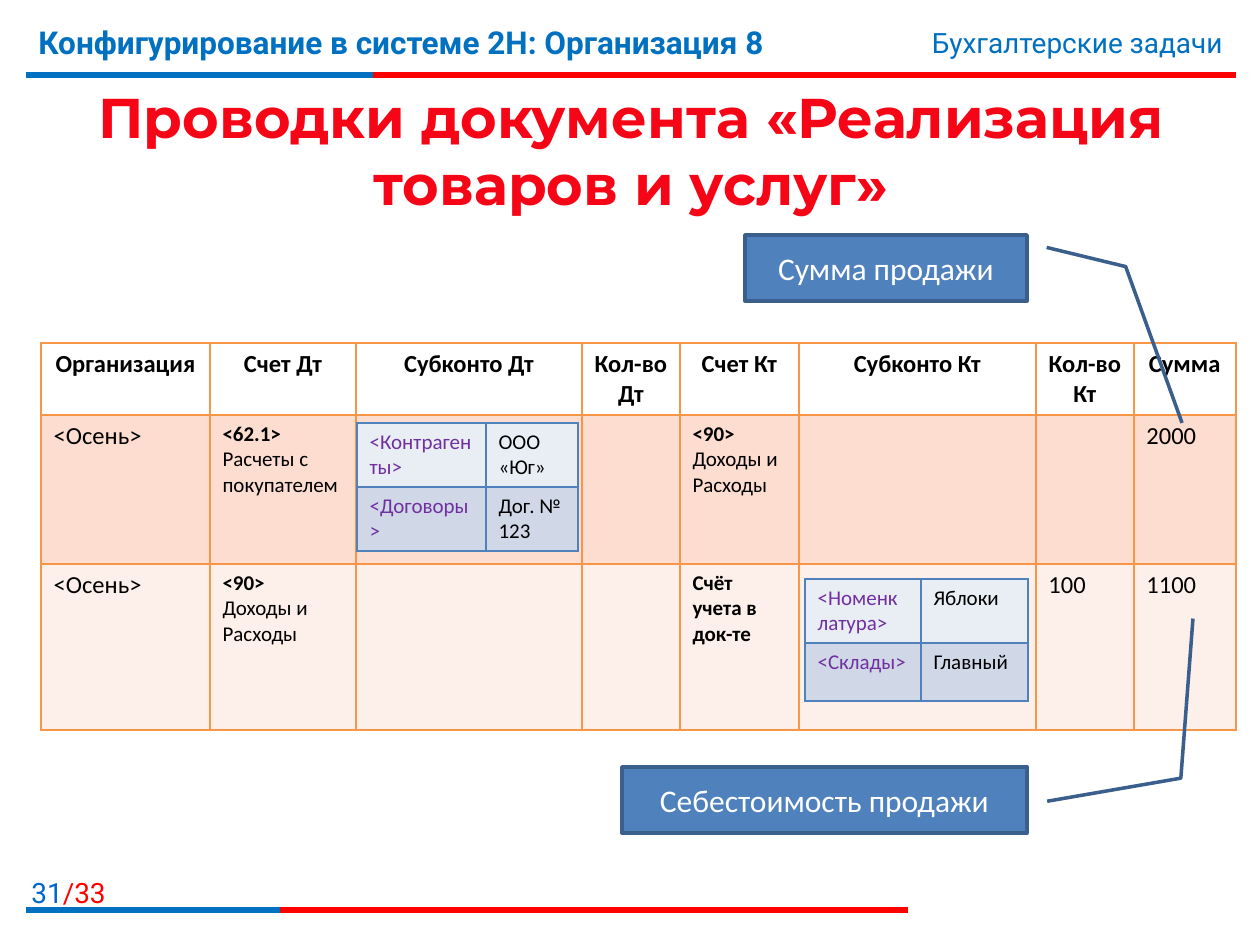
import pptx
import pptx.util
from lxml import etree
from pptx.dml.color import RGBColor
from pptx.enum.shapes import MSO_CONNECTOR, MSO_SHAPE
from pptx.enum.text import MSO_ANCHOR, PP_ALIGN
from pptx.oxml.ns import qn

COLORS = {
    "blue": "0070C0", "red": "FF0000", "page": "0066CC", "title": "F50516",
    "black": "000000", "white": "FFFFFF", "purple": "7030A0",
    "orange": "F79646", "peach": "FCDDCF", "cream": "FDEFE9",
    "steel": "4F81BD", "navy": "3A5F8C", "mist": "E9EDF4", "haze": "D0D8E8",
}
PX_PER_INCH = 126
LEFT, CENTER, RIGHT = PP_ALIGN.LEFT, PP_ALIGN.CENTER, PP_ALIGN.RIGHT


def px(length):
    return pptx.util.Emu(round(length * 914400 / PX_PER_INCH))


def rgb(name):
    return RGBColor.from_string(COLORS[name])


class PostingSlide:
    def __init__(self, deck):
        self.slide = deck.slides.add_slide(deck.slide_layouts[6])
        self.shapes = self.slide.shapes

    def add_runs(self, frame, runs, align=LEFT):
        """Fill a frame with (text, size, color, bold, font) runs; a run "\\n" breaks the line."""
        paragraph = frame.paragraphs[0]
        paragraph.alignment = align
        for run_style in runs:
            if run_style == "\n":
                paragraph.add_line_break()
                continue
            text, size, color, bold, font = run_style
            run = paragraph.add_run()
            run.text = text
            run.font.size = pptx.util.Pt(size)
            run.font.bold = bold
            run.font.name = font
            run.font.color.rgb = rgb(color)

    def text(self, box, runs, align=LEFT, anchor=MSO_ANCHOR.TOP):
        frame = self.shapes.add_textbox(*map(px, box)).text_frame
        frame.word_wrap = True
        frame.vertical_anchor = anchor
        self.add_runs(frame, runs, align)

    def rule(self, left, right, y, color):
        line = self.shapes.add_connector(
            MSO_CONNECTOR.STRAIGHT, px(left), px(y), px(right), px(y))
        line.line.color.rgb = rgb(color)
        line.line.width = pptx.util.Pt(3)
        etree.SubElement(line._element.spPr, qn("a:effectLst"))

    def two_tone_rule(self, left, split, right, y):
        self.rule(left, right, y, "red")
        self.rule(left, split, y, "blue")

    def border(self, cell, color):
        properties = cell._tc.get_or_add_tcPr()
        for side in ("a:lnL", "a:lnR", "a:lnT", "a:lnB"):
            edge = etree.SubElement(properties, qn(side), w="12700")
            fill = etree.SubElement(edge, qn("a:solidFill"))
            etree.SubElement(fill, qn("a:srgbClr"), val=COLORS[color])

    def table(self, left, top, widths, heights, rows, fills, line, head=False):
        frame = self.shapes.add_table(
            len(heights), len(widths), px(left), px(top), px(sum(widths)), px(sum(heights)))
        table = frame.table
        table.first_row = table.horz_banding = False
        for column, width in zip(table.columns, widths):
            column.width = px(width)
        for r, (height, row, fill) in enumerate(zip(heights, rows, fills)):
            table.rows[r].height = px(height)
            for c, runs in enumerate(row):
                cell = table.cell(r, c)
                self.border(cell, line)
                cell.fill.solid()
                cell.fill.fore_color.rgb = rgb(fill)
                self.add_runs(cell.text_frame, runs, CENTER if head and r == 0 else LEFT)

    def callout(self, box, label, pointer):
        shape = self.shapes.add_shape(MSO_SHAPE.LINE_CALLOUT_2, *map(px, box))
        for i, value in enumerate(pointer):
            shape.adjustments[i] = value
        shape.shadow.inherit = False
        shape.fill.solid()
        shape.fill.fore_color.rgb = rgb("steel")
        shape.line.color.rgb = rgb("navy")
        shape.line.width = pptx.util.Pt(2)
        shape.text_frame.word_wrap = True
        shape.text_frame.vertical_anchor = MSO_ANCHOR.MIDDLE
        self.add_runs(shape.text_frame, [(label, 18, "white", False, "Calibri")], CENTER)


def entry(text, size=14, bold=False, color="black"):
    return (text, size, color, bold, "Calibri")


def account(code, name):
    return [entry(code, 12, True), "\n", entry(name, 12)]


def analytics(*pairs):
    """Rows of a nested table: dimension and its value."""
    return [[[entry(kind, 12, color="purple")], [entry(value, 12)]] for kind, value in pairs]


def main():
    deck = pptx.Presentation()
    deck.slide_width, deck.slide_height = px(1260), px(945)
    page = PostingSlide(deck)

    page.two_tone_rule(26, 373, 1236, 75)
    page.text((0, 869, 118, 40), [("31", 16, "page", False, "Roboto"),
                                  ("/33", 16, "red", False, "Roboto")], RIGHT)
    page.two_tone_rule(26, 280, 908, 910)
    page.text((26, 17, 932, 78), [
        ("Конфигурирование в системе 2Н: Организация 8", 18, "blue", True, "Roboto")])
    page.text((748, 19, 487, 47), [
        ("Бухгалтерские задачи", 16, "blue", False, "Roboto")], RIGHT)
    page.text((26, 80, 1211, 140), [
        ("Проводки документа «Реализация товаров и услуг»", 32, "title", True, "Montserrat")],
        CENTER, MSO_ANCHOR.MIDDLE)

    headings = ["Организация", "Счет Дт", "Субконто Дт", "Кол-во Дт",
                "Счет Кт", "Субконто Кт", "Кол-во Кт", "Сумма"]
    company = [entry("<Осень>")]
    postings = [
        [[entry(heading, bold=True)] for heading in headings],
        [company, account("<62.1>", "Расчеты с покупателем"), [], [],
         account("<90>", "Доходы и Расходы"), [], [], [entry("2000")]],
        [company, account("<90>", "Доходы и Расходы"), [], [],
         [entry("Счёт учета в док-те", 12, True)], [], [entry("100")], [entry("1100")]],
    ]
    page.table(41, 343, [169, 146, 226, 98, 119, 237, 98, 102], [72, 149, 166],
               postings, ["white", "peach", "cream"], "orange", head=True)

    nested_fills = ["mist", "haze"]
    page.table(357, 423, [129, 92], [64, 64],
               analytics(("<Контрагенты>", "ООО «Юг»"), ("<Договоры>", "Дог. № 123")),
               nested_fills, "steel")
    page.table(805, 579, [116, 107], [64, 58],
               analytics(("<Номенклатура>", "Яблоки"), ("<Склады>", "Главный")),
               nested_fills, "steel")

    page.callout((745, 235, 282, 66), "Сумма продажи",
                 (0.19, 1.07, 0.48, 1.35, 2.85, 1.55))
    page.callout((622, 767, 405, 66), "Себестоимость продажи",
                 (0.52, 1.05, 0.17, 1.38, -2.25, 1.41))

    deck.save("out.pptx")


if __name__ == "__main__":
    main()
